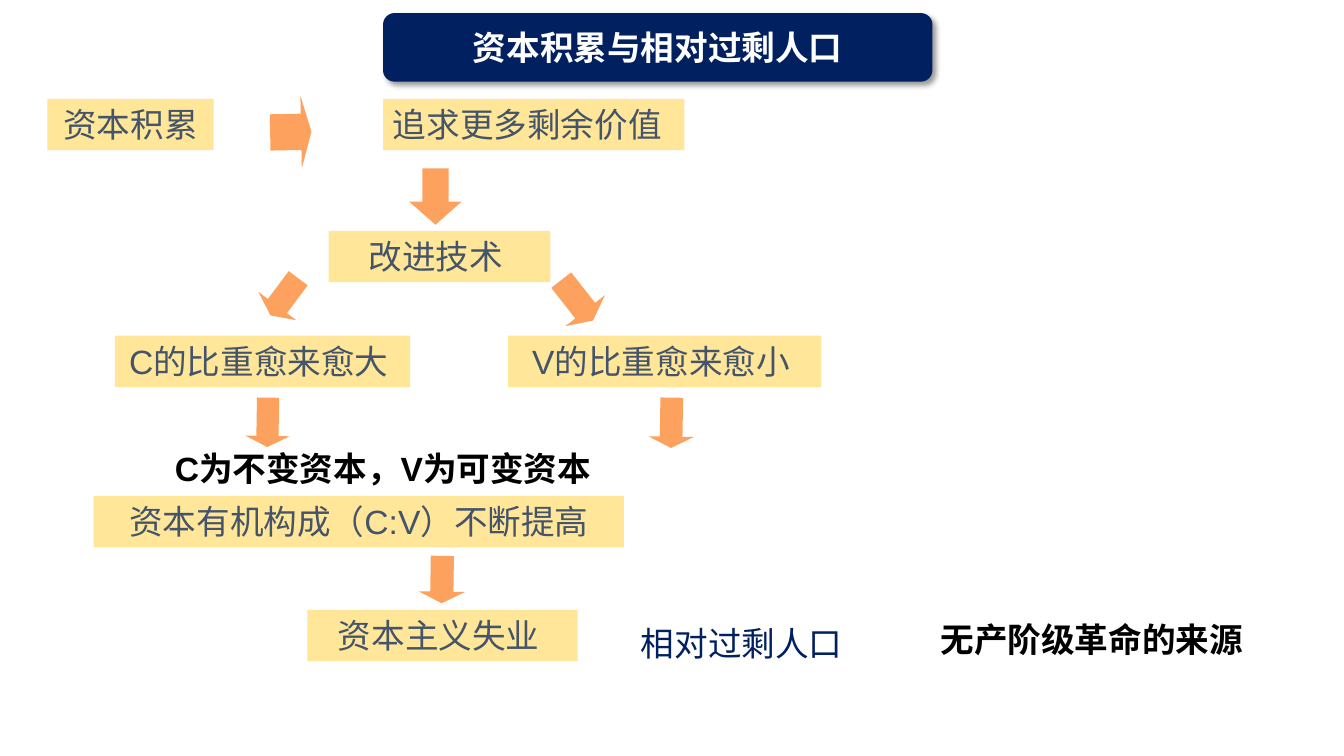
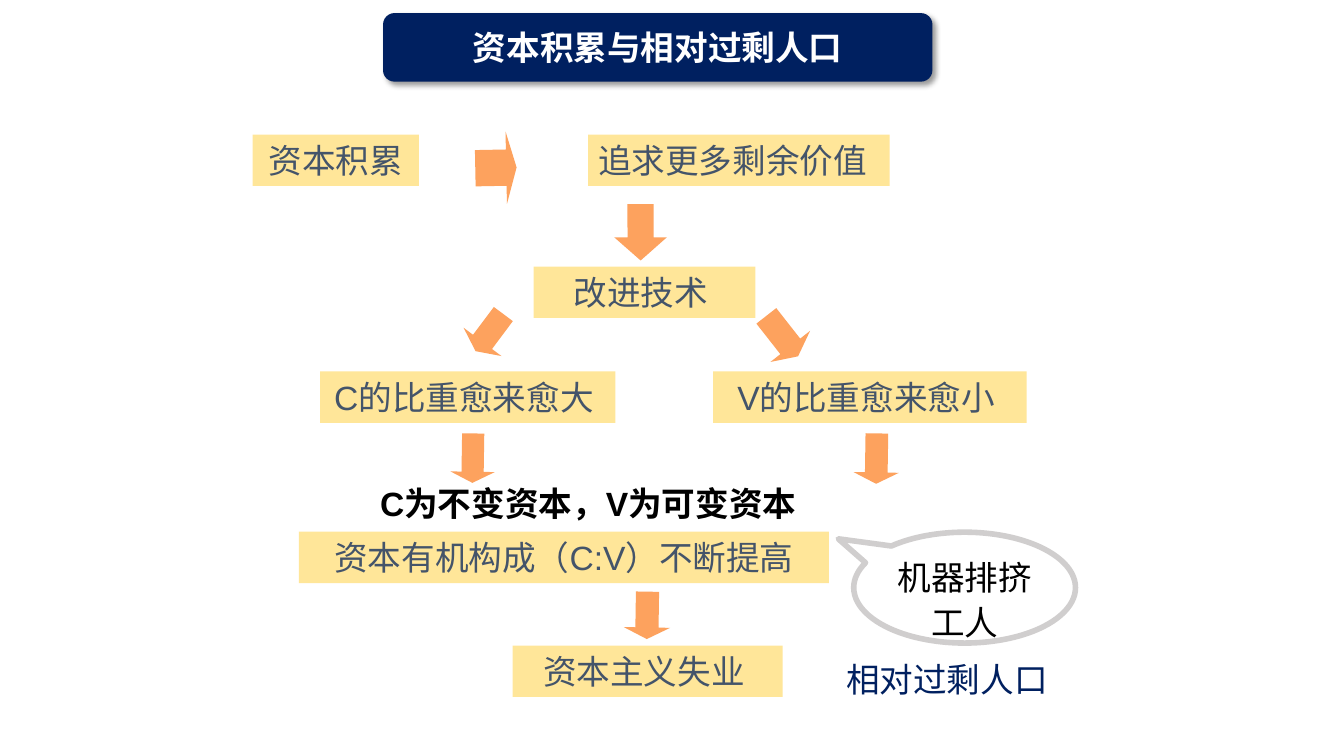
"""Build two slides on capital accumulation and relative surplus population."""
from dataclasses import dataclass

from lxml.etree import SubElement
from pptx import Presentation
from pptx.dml.color import RGBColor
from pptx.enum.shapes import MSO_SHAPE
from pptx.enum.text import MSO_ANCHOR, MSO_AUTO_SIZE, PP_ALIGN
from pptx.oxml.ns import qn
from pptx.util import Emu, Inches, Pt

CELL = Inches(0.1)
COLUMNS, ROWS = 133.33, 75
NAVY, CREAM, ORANGE, SLATE = "002060", "FFE699", "FC6E04", "44546A"
BLACK, WHITE, GREY = "000000", "FFFFFF", "D0CECE"
LATIN_FONT, CHINESE_FONT = "Arial", "Noto Sans CJK SC"
TEXT_SIZE = Pt(24)
STEP_HEIGHT = 5.1


@dataclass(frozen=True)
class Area:
    """A rectangle in grid columns and rows."""
    column: float
    row: float
    width: float
    height: float = STEP_HEIGHT

    def moved(self, columns, rows):
        """Return the same rectangle shifted over the grid."""
        return Area(self.column + columns, self.row + rows, self.width, self.height)

    def lengths(self):
        """Return left, top, width and height for a new shape."""
        return [Emu(round(cells * CELL)) for cells in
                (self.column, self.row, self.width, self.height)]


@dataclass(frozen=True)
class Style:
    """The look of one piece of text."""
    color: str
    bold: bool = False
    font: str = LATIN_FONT
    align: PP_ALIGN = PP_ALIGN.CENTER
    anchor: MSO_ANCHOR = MSO_ANCHOR.TOP
    line_spacing: float = 1.0
    space_before: float = 0
    grows: bool = True


@dataclass(frozen=True)
class Step:
    """A labelled box of the flow chart."""
    text: str
    area: Area
    align: PP_ALIGN = PP_ALIGN.CENTER


@dataclass(frozen=True)
class Arrow:
    """A block arrow turned clockwise by some degrees."""
    area: Area
    degrees: float
    head: float = 0.25


@dataclass(frozen=True)
class Flow:
    """A slide's flow chart offset and its extra parts."""
    columns: float
    rows: float
    has_source: bool = False
    has_callout: bool = False


TITLE_STYLE = Style(WHITE, True, CHINESE_FONT, anchor=MSO_ANCHOR.MIDDLE, grows=False)
NOTE_STYLE = Style(BLACK, True)
RESULT_STYLE = Style(NAVY, align=PP_ALIGN.JUSTIFY, line_spacing=1.2, space_before=14)
CALLOUT_STYLE = Style(BLACK, line_spacing=1.1, space_before=4.8, grows=False)

STEPS = (
    Step("资本积累", Area(4.7, 9.8, 16.5)),
    Step("追求更多剩余价值", Area(38, 9.8, 29.9), PP_ALIGN.LEFT),
    Step("改进技术 ", Area(32.6, 22.9, 22)),
    Step("C的比重愈来愈大 ", Area(11.4, 33.3, 29.3)),
    Step("V的比重愈来愈小 ", Area(50.4, 33.3, 31.1)),
    Step("资本有机构成（C:V）不断提高", Area(9.3, 49.2, 52.6)),
    Step("资本主义失业 ", Area(30.5, 60.5, 26.8)),
)
ARROWS = (
    Arrow(Area(26.8, 9.5, 4.1, 7.2), 358.9),
    Arrow(Area(40.4, 16.9, 5.6, 5.2), 89.9, 0.44),
    Arrow(Area(25.9, 27.1, 4.6, 4.7), 126.8),
    Arrow(Area(54.7, 27.3, 5.1, 5), 51.9),
    Arrow(Area(24.1, 39.7, 4.9, 4.4), 90.9),
    Arrow(Area(64.1, 39.7, 5, 4.5), 90.9),
    Arrow(Area(41.5, 55.2, 4.7, 4.6), 90.9),
)
FLOWS = (Flow(0, 0, has_source=True), Flow(20.35, 3.55, has_callout=True))


def rgb(color: str) -> RGBColor:
    """Turn a hex string into a colour."""
    return RGBColor.from_string(color)


def write(shape, text: str, style: Style) -> None:
    """Put styled text into a shape."""
    frame = shape.text_frame
    frame.text = text
    frame.word_wrap = True
    frame.vertical_anchor = style.anchor
    frame.auto_size = MSO_AUTO_SIZE.SHAPE_TO_FIT_TEXT if style.grows else MSO_AUTO_SIZE.NONE
    para = frame.paragraphs[0]
    para.alignment = style.align
    para.line_spacing = style.line_spacing
    para.space_before = Pt(style.space_before)
    for span in para.runs:
        span.font.name = style.font
        span.font.size = TEXT_SIZE
        span.font.bold = style.bold
        span.font.color.rgb = rgb(style.color)
        SubElement(span.font._element, qn("a:ea"), typeface=CHINESE_FONT)


def add_shape(page, kind: MSO_SHAPE, area: Area, fill: str = ""):
    """Add a preset shape without line or shadow."""
    shape = page.shapes.add_shape(kind, *area.lengths())
    shape.shadow.inherit = False
    shape.line.fill.background()
    if fill:
        shape.fill.solid()
        shape.fill.fore_color.rgb = rgb(fill)
    else:
        shape.fill.background()
    return shape


def add_text(page, text: str, area: Area, style: Style) -> None:
    """Add a text box."""
    write(page.shapes.add_textbox(*area.lengths()), text, style)


def add_arrow(page, arrow: Arrow, area: Area) -> None:
    """Add a translucent block arrow."""
    shape = add_shape(page, MSO_SHAPE.RIGHT_ARROW, area, ORANGE)
    shape.rotation = arrow.degrees
    shape.adjustments[0] = 0.5
    shape.adjustments[1] = arrow.head
    color = shape._element.spPr.find(qn("a:solidFill"))[0]
    SubElement(color, qn("a:alpha"), val="64000")


def add_title(page) -> None:
    """Add the shadowed title band."""
    band = add_shape(page, MSO_SHAPE.ROUNDED_RECTANGLE, Area(38, 1.3, 54.5, 6.8), NAVY)
    effects = band._element.spPr.find(qn("a:effectLst"))
    shadow = SubElement(effects, qn("a:outerShdw"), blurRad=str(Pt(4)), dist=str(Pt(3)),
                        dir="2700000", algn="tl", rotWithShape="0")
    color = SubElement(shadow, qn("a:srgbClr"), val=BLACK)
    SubElement(color, qn("a:alpha"), val="40000")
    write(band, "资本积累与相对过剩人口", TITLE_STYLE)


def add_callout(page) -> None:
    """Add the speech bubble beside the organic composition step."""
    bubble = add_shape(page, MSO_SHAPE.OVAL_CALLOUT, Area(84.7, 52.8, 22, 11))
    bubble.adjustments[0] = -0.57
    bubble.adjustments[1] = -0.44
    bubble.line.color.rgb = rgb(GREY)
    bubble.line.width = Pt(4)
    write(bubble, "机器排挤工人", CALLOUT_STYLE)


def add_page(deck, flow: Flow) -> None:
    """Add one slide with its flow chart."""
    page = deck.slides.add_slide(deck.slide_layouts[6])
    offset = (flow.columns, flow.rows)
    for step in STEPS:
        box = add_shape(page, MSO_SHAPE.RECTANGLE, step.area.moved(*offset), CREAM)
        write(box, step.text, Style(SLATE, align=step.align))
    for arrow in ARROWS:
        add_arrow(page, arrow, arrow.area.moved(*offset))
    add_text(page, "C为不变资本，V为可变资本", Area(8.6, 43.9, 58.8).moved(*offset), NOTE_STYLE)
    add_text(page, "相对过剩人口", Area(62.6, 60.5, 37.7, 5.4).moved(*offset), RESULT_STYLE)
    if flow.has_source:
        add_text(page, "无产阶级革命的来源", Area(78.9, 60.9, 58.8), NOTE_STYLE)
    add_title(page)
    if flow.has_callout:
        add_callout(page)


def main() -> None:
    """Build and save the deck."""
    deck = Presentation()
    deck.slide_width = Emu(round(COLUMNS * CELL))
    deck.slide_height = Emu(ROWS * CELL)
    for flow in FLOWS:
        add_page(deck, flow)
    deck.save("out.pptx")


if __name__ == "__main__":
    main()
